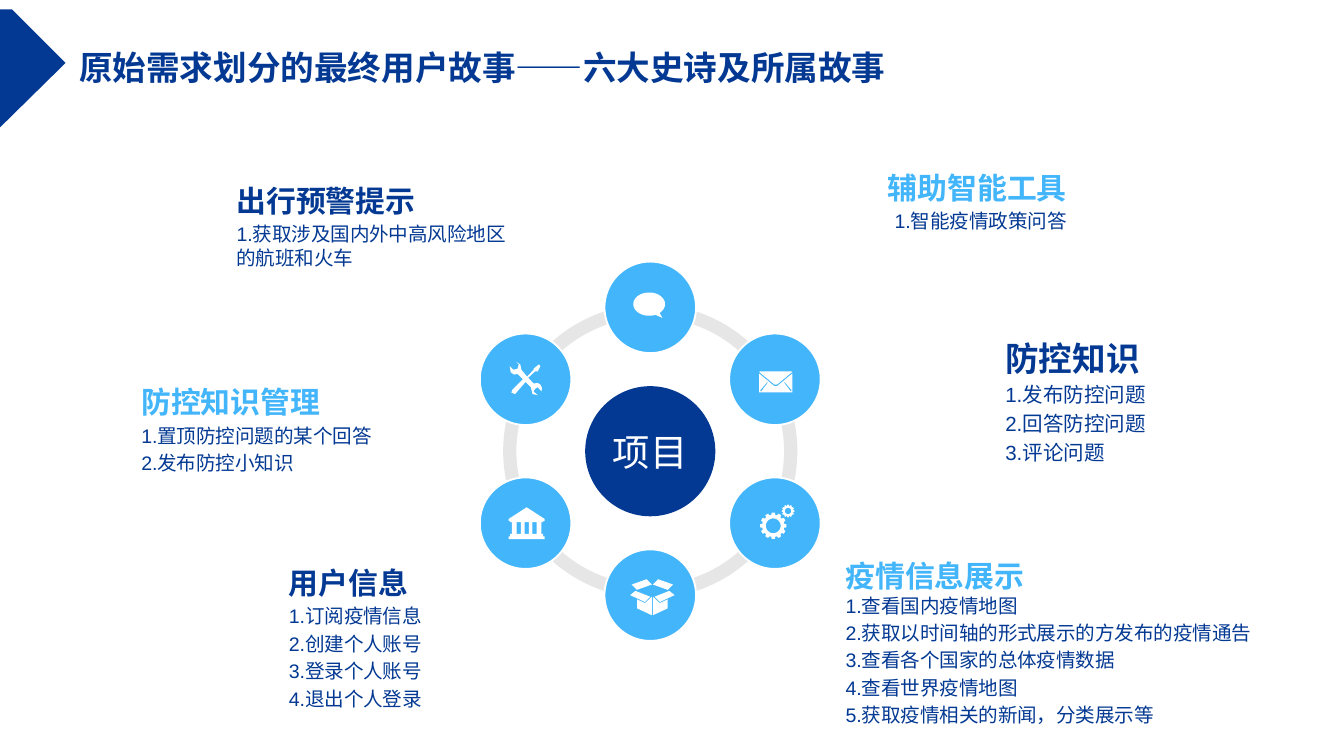
"""Build the slide of six epics and their user stories around a project hub."""
import copy
import math
from dataclasses import dataclass
from typing import Any

from lxml import etree
import pptx
import pptx.dml.color
import pptx.enum.lang
import pptx.enum.shapes
import pptx.enum.text
import pptx.oxml.ns
import pptx.util

Cm = pptx.util.Cm
RGBColor = pptx.dml.color.RGBColor
Align = pptx.enum.text.PP_ALIGN
Anchor = pptx.enum.text.MSO_ANCHOR
Preset = pptx.enum.shapes.MSO_SHAPE
Contour = list[tuple[float, float]]

NAVY = RGBColor(0x03, 0x39, 0x93)
SKY = RGBColor(0x42, 0xB5, 0xFB)
GREY = RGBColor(0xE7, 0xE6, 0xE6)
WHITE = RGBColor(0xFF, 0xFF, 0xFF)

CENTRE = (12.29, 8.53)
RING_SIZE, HUB_SIZE, NODE_SIZE, ORBIT = 5.56, 2.46, 1.73, 2.72


@dataclass
class Epic:
    heading: str
    stories: list[str]
    box: tuple[float, float, float, float]
    color: RGBColor
    heading_size: float = 16
    story_size: float = 10.5
    align: Any = Align.LEFT
    joined: bool = False


@dataclass
class Node:
    angle: float
    icon: list[list[Contour]]


def add_run(paragraph: Any, text: str, size: float, color: RGBColor, bold: bool = False) -> Any:
    run = paragraph.add_run()
    run.text = text
    run.font.name = "Arial"
    run.font.size = pptx.util.Pt(size)
    run.font.bold = bold
    run.font.color.rgb = color
    run.font.language_id = pptx.enum.lang.MSO_LANGUAGE_ID.SIMPLIFIED_CHINESE
    return run


def place(shape: Any, box: tuple[float, float, float, float]) -> None:
    shape.left, shape.top, shape.width, shape.height = map(Cm, box)


def prepare_frame(frame: Any, anchor: Any) -> None:
    frame.word_wrap = True
    frame.vertical_anchor = anchor
    frame.margin_left = frame.margin_right = frame.margin_top = frame.margin_bottom = 0


def write_epic(shape: Any, epic: Epic) -> None:
    place(shape, epic.box)
    frame = shape.text_frame
    prepare_frame(frame, Anchor.TOP)
    frame.auto_size = pptx.enum.text.MSO_AUTO_SIZE.SHAPE_TO_FIT_TEXT
    paragraph = frame.paragraphs[0]
    format_line(paragraph, epic.align, 0)
    heading = add_run(paragraph, epic.heading, epic.heading_size, epic.color, True)
    for index, story in enumerate(epic.stories):
        if epic.joined and index == 0:
            paragraph.add_line_break()
            paragraph._p[-1].append(copy.deepcopy(heading._r.rPr))
        else:
            paragraph = frame.add_paragraph()
            format_line(paragraph, epic.align, 0.2 * epic.story_size)
        add_run(paragraph, f"{index + 1}.{story}", epic.story_size, NAVY)


def format_line(paragraph: Any, align: Any, space: float) -> None:
    properties = paragraph._p.get_or_add_pPr()
    properties.set("marL", "0")
    properties.set("indent", "0")
    etree.SubElement(properties, pptx.oxml.ns.qn("a:buNone"))
    paragraph.alignment = align
    paragraph.line_spacing = 1.0
    paragraph.space_before = pptx.util.Pt(space)


def paint(shape: Any, color: RGBColor) -> None:
    shape.shadow.inherit = False
    shape.fill.solid()
    shape.fill.fore_color.rgb = color
    shape.line.fill.background()


def add_centred(shapes: Any, preset: Any, centre: tuple[float, float], size: float, color: RGBColor) -> Any:
    x, y = centre
    shape = shapes.add_shape(preset, Cm(x - size / 2), Cm(y - size / 2), Cm(size), Cm(size))
    paint(shape, color)
    return shape


def add_outline(shapes: Any, contours: list[Contour], origin: tuple[float, float], color: RGBColor) -> None:
    points = [[(Cm(x), Cm(y)) for x, y in contour] for contour in contours]
    builder = shapes.build_freeform(*points[0][0])
    builder.add_line_segments(points[0][1:], close=True)
    for contour in points[1:]:
        builder.move_to(*contour[0])
        builder.add_line_segments(contour[1:], close=True)
    paint(builder.convert_to_shape(Cm(origin[0]), Cm(origin[1])), color)


def polar(x: float, y: float, degrees: float, rx: float, ry: float) -> tuple[float, float]:
    angle = math.radians(degrees)
    return x + rx * math.cos(angle), y + ry * math.sin(angle)


def mirror(contour: Contour, axis: float) -> Contour:
    return [(2 * axis - x, y) for x, y in reversed(contour)]


def gear(x: float, y: float, outer: float, root: float, hole: float) -> list[Contour]:
    tooth = [(-10, root), (-7, outer), (7, outer), (10, root)]
    rim = [polar(x, y, 30 * k + turn, r, r) for k in range(12) for turn, r in tooth]
    return [rim, [polar(x, y, a, hole, hole) for a in range(0, 360, 10)]]


def rectangle(left: float, top: float, width: float, height: float) -> Contour:
    return [(left, top), (left + width, top), (left + width, top + height), (left, top + height)]


BUBBLE = [polar(-0.02, -0.06, a, 0.3, 0.22) for a in range(67, 410, 6)] + [(0.23, 0.2)]
CREASE = [(-0.13, 0.06), (-0.26, 0.23), (-0.28, 0.21), (-0.15, 0.06)]
FLAP = [(-0.28, -0.15), (0.31, -0.15), (0.33, -0.14), (0.04, 0.1), (-0.01, 0.1), (-0.3, -0.14)]
ENVELOPE = [(-0.3, -0.11), (-0.01, 0.13), (0.04, 0.13), (0.33, -0.11), (0.33, 0.25), (-0.3, 0.25)]
CARTON = [
    [(0.05, 0.03), (0.05, 0.38), (0.33, 0.25), (0.33, 0.08), (0.18, 0.15)],
    [(0.08, 0.03), (0.18, 0.13), (0.46, 0), (0.36, -0.08)],
    [(0.43, -0.2), (0.15, -0.3), (0.05, -0.2), (0.33, -0.1)],
]
BANK_SIDE = [(0.02, -0.3), (0.36, -0.08), (0.36, -0.04), (0.33, -0.04), (0.33, -0.02), (0.3, -0.02),
             (0.3, 0.2), (0.33, 0.2), (0.33, 0.25), (0.36, 0.25), (0.36, 0.3)]
TOOLS = [
    (0.28, 0.1), (0.23, 0.07), (0.15, 0.08), (0.05, -0.03), (0.18, -0.15), (0.23, -0.15),
    (0.28, -0.25), (0.25, -0.28), (0.15, -0.2), (0.15, -0.18), (0.03, -0.05), (-0.08, -0.18),
    (-0.1, -0.28), (-0.18, -0.33), (-0.13, -0.28), (-0.15, -0.2), (-0.23, -0.18), (-0.3, -0.25),
    (-0.28, -0.13), (-0.22, -0.09), (-0.15, -0.1), (-0.05, 0), (-0.25, 0.2), (-0.27, 0.25),
    (-0.2, 0.28), (0, 0.05), (0.1, 0.15), (0.13, 0.28), (0.23, 0.3), (0.15, 0.23), (0.18, 0.18),
    (0.23, 0.15), (0.3, 0.23), (0.31, 0.16),
]

NODES = [
    Node(-90, [[BUBBLE]]),
    Node(-30, [[FLAP], [ENVELOPE, CREASE, mirror(CREASE, 0.02)]]),
    Node(30, [gear(-0.03, 0.05, 0.25, 0.21, 0.14), gear(0.25, -0.23, 0.12, 0.1, 0.06)]),
    Node(90, [[half] for panel in CARTON for half in (panel, mirror(panel, 0.04))]),
    Node(150, [[BANK_SIDE + mirror(BANK_SIDE, 0.02)[:-1]]
               + [rectangle(x, -0.02, 0.08, 0.22) for x in (-0.17, -0.02, 0.13)]]),
    Node(210, [[TOOLS]]),
]

EPICS = [
    Epic("用户信息", ["订阅疫情信息", "创建个人账号", "登录个人账号", "退出个人登录"],
         (5.46, 10.67, 4.67, 2.84), NAVY),
    Epic("防控知识管理", ["置顶防控问题的某个回答", "发布防控小知识"], (2.67, 7.26, 4.67, 1.8), SKY),
    Epic("出行预警提示", ["获取涉及国内外中高风险地区的航班和火车"], (4.47, 3.45, 5.44, 1.73), NAVY),
    Epic("疫情信息展示", ["查看国内疫情地图", "获取以时间轴的形式展示的方发布的疫情通告",
                    "查看各个国家的总体疫情数据", "查看世界疫情地图", "获取疫情相关的新闻，分类展示等"],
         (15.98, 10.54, 7.95, 4.37), SKY, joined=True),
    Epic("防控知识", ["发布防控问题", "回答防控问题", "评论问题"], (19, 6.38, 4.67, 2.46), NAVY, 18, 11),
    Epic("辅助智能工具", ["智能疫情政策问答"], (15.49, 3.2, 4.67, 1.22), SKY, align=Align.RIGHT),
]


def main() -> None:
    deck = pptx.Presentation()
    deck.slide_width, deck.slide_height = Cm(25.4), Cm(14.29)
    slide = deck.slides.add_slide(deck.slide_layouts.get_by_name("Comparison"))
    shapes = slide.shapes

    title = shapes.title
    place(title, (1.24, 0.61, 18.47, 1.09))
    title.text_frame.vertical_anchor = Anchor.TOP
    title.text_frame.word_wrap = True
    title.text_frame.auto_size = pptx.enum.text.MSO_AUTO_SIZE.SHAPE_TO_FIT_TEXT
    headline = title.text_frame.paragraphs[0]
    headline.alignment, headline.line_spacing = Align.LEFT, 1.2
    add_run(headline, "原始需求划分的最终用户故事——六大史诗及所属故事", 18, NAVY, True)
    add_outline(shapes, [[(0, 0.18), (0.23, 0.18), (1.24, 1.19), (0, 2.41)]], (0, 0), NAVY)

    bodies = [holder for holder in slide.placeholders if 1 <= holder.placeholder_format.idx <= 4]
    for index, epic in enumerate(EPICS):
        body = bodies[index] if index < len(bodies) else shapes.add_textbox(*map(Cm, epic.box))
        write_epic(body, epic)

    for start, end in [(126, 162), (90, 126), (54, 90), (18, 54), (198, 18), (162, 198)]:
        arc = add_centred(shapes, Preset.BLOCK_ARC, CENTRE, RING_SIZE, GREY)
        for index, value in enumerate((start * 0.6, end * 0.6, 0.045)):
            arc.adjustments[index] = value

    hub = add_centred(shapes, Preset.OVAL, CENTRE, HUB_SIZE, NAVY)
    prepare_frame(hub.text_frame, Anchor.MIDDLE)
    hub.text_frame.paragraphs[0].alignment = Align.CENTER
    add_run(hub.text_frame.paragraphs[0], "项目", 20, WHITE)

    for node in NODES:
        centre = polar(*CENTRE, node.angle, ORBIT, ORBIT)
        disc = add_centred(shapes, Preset.OVAL, centre, NODE_SIZE, SKY)
        disc.line.color.rgb = WHITE
        disc.line.width = pptx.util.Pt(1)
        for contours in node.icon:
            add_outline(shapes, contours, centre, WHITE)

    deck.save("out.pptx")


if __name__ == "__main__":
    main()
